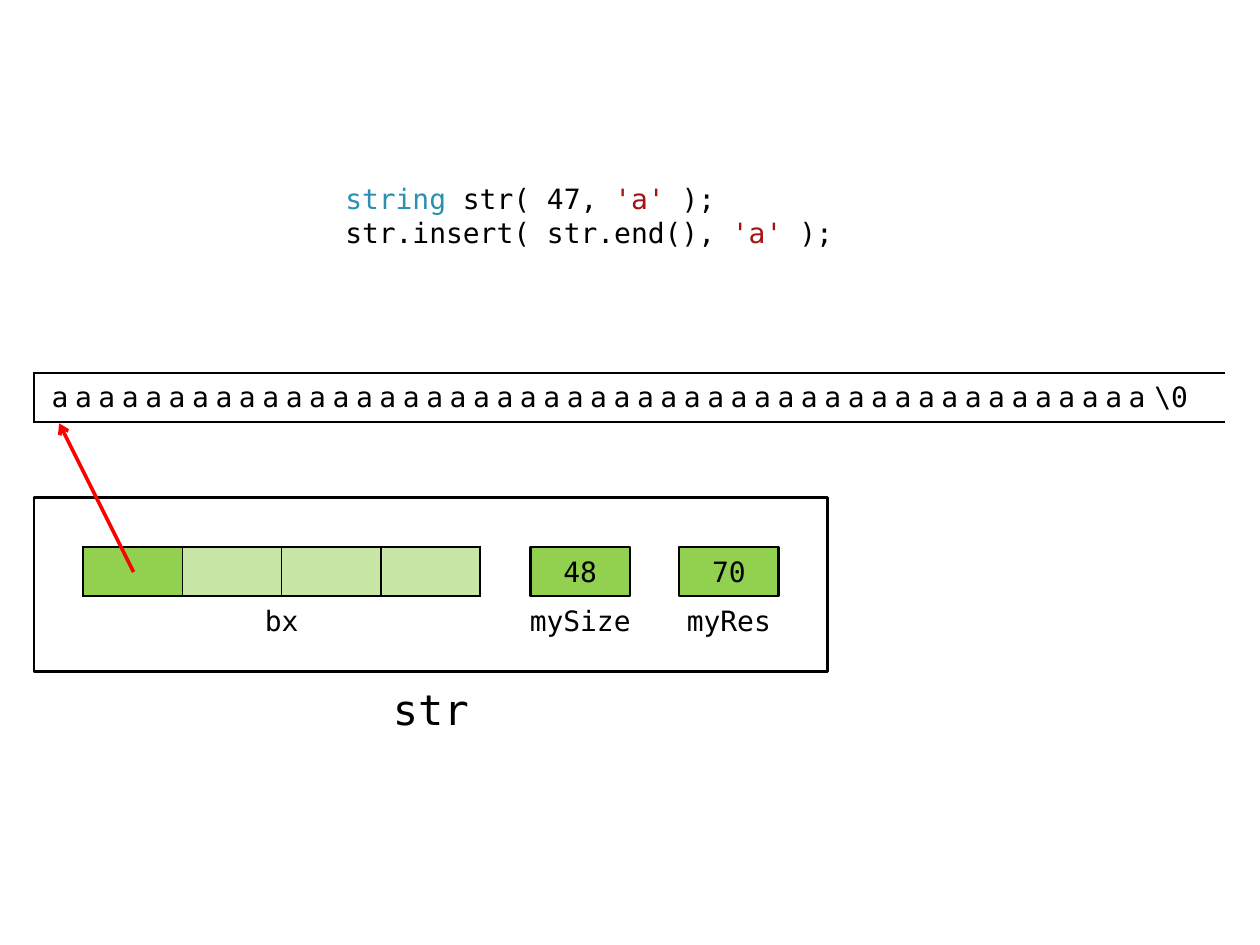
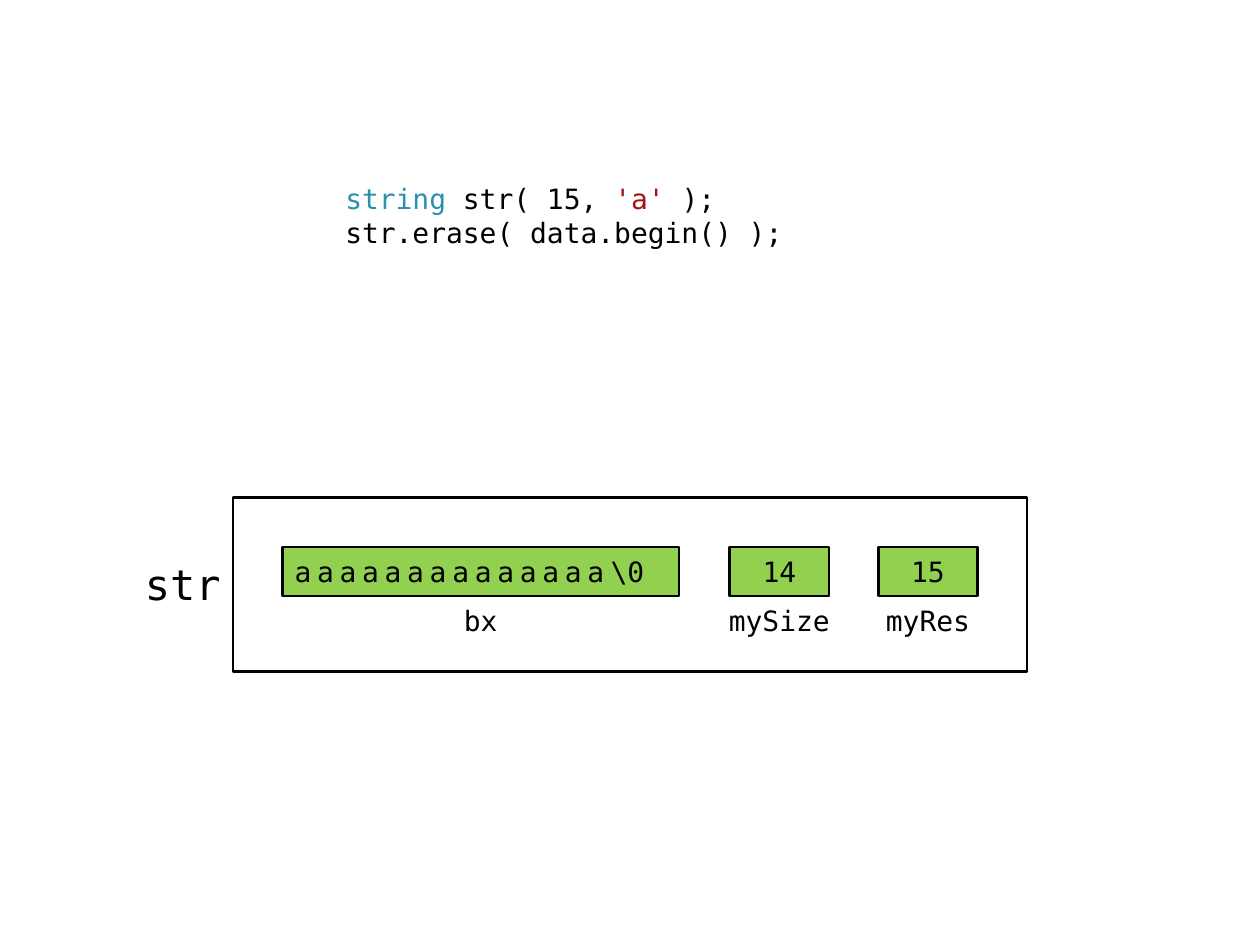
from dataclasses import dataclass

import pptx
import pptx.dml.color
import pptx.enum.shapes
import pptx.enum.text
import pptx.oxml
import pptx.oxml.ns
import pptx.util
from pptx.util import Inches, Pt

FONT = "DejaVu Sans Mono"
BLACK, WHITE, GREEN, RED = "000000", "FFFFFF", "92D050", "FF0000"
TYPE_COLOR, LITERAL_COLOR = "2B91AF", "A31515"
CELL_W, CELL_H = 0.79, 0.39
BX_W = 3.15
FRAME_TOP, FRAME_W, FRAME_H = 3.95, 6.3, 1.38
CELL_TOP = FRAME_TOP + CELL_H
LABEL_TOP = CELL_TOP + CELL_H
HEAP_LEFT, HEAP_TOP, HEAP_W = 0.27, 2.96, 9.45

SHAPE = pptx.enum.shapes.MSO_SHAPE
ALIGN = pptx.enum.text.PP_ALIGN
MIDDLE = pptx.enum.text.MSO_ANCHOR.MIDDLE


@dataclass(frozen=True)
class Span:
    text: str
    color: str = BLACK
    spacing: float = 0


@dataclass(frozen=True)
class Box:
    left: float
    top: float
    width: float
    height: float

    def lengths(self) -> list[int]:
        return [Inches(v) for v in (self.left, self.top, self.width, self.height)]


@dataclass(frozen=True)
class Member:
    """A field of the string object, placed relative to the frame."""
    name: str
    offset: float
    width: float
    label_width: float


BX = Member("bx", 0.39, BX_W, 0.79)
MY_SIZE = Member("mySize", 3.94, CELL_W, 1.18)
MY_RES = Member("myRes", 5.12, CELL_W, 1.18)


def rgb(color: str) -> pptx.dml.color.RGBColor:
    return pptx.dml.color.RGBColor.from_string(color)


def char_spans(count: int, spacing: float) -> list[Span]:
    """Spread-out characters followed by the terminating null."""
    return [Span("a" * count, spacing=spacing), Span("\\", spacing=-1.5), Span("0")]


def write(p, spans: list[Span], size: float = 16, align=ALIGN.LEFT) -> None:
    p.alignment = align
    for span in spans:
        r = p.add_run()
        r.text = span.text
        r.font.name, r.font.size = FONT, Pt(size)
        r.font.color.rgb = rgb(span.color)
        if span.spacing:
            r.font._element.set("spc", str(round(span.spacing * 100)))


def add_box(s, box: Box, spans: list[Span] = (), kind=SHAPE.RECTANGLE,
            fill: str | None = None, align=ALIGN.CENTER) -> None:
    """Outlined box when a fill is given, otherwise a bare label."""
    sp = s.shapes.add_shape(kind, *box.lengths())
    sp.shadow.inherit = False
    if fill:
        sp.fill.solid()
        sp.fill.fore_color.rgb = rgb(fill)
        sp.line.color.rgb = rgb(BLACK)
        sp.line.width = Pt(1.5)
    else:
        sp.fill.background()
        sp.line.fill.background()
    sp.text_frame.vertical_anchor = MIDDLE
    write(sp.text_frame.paragraphs[0], spans, align=align)


def add_name(s, box: Box, align) -> None:
    tf = s.shapes.add_textbox(*box.lengths()).text_frame
    tf.word_wrap = True
    tf.vertical_anchor = MIDDLE
    write(tf.paragraphs[0], [Span("str")], 24, align)


def add_code(s, lines: list[list[Span]]) -> None:
    body = s.placeholders[1]
    body.left, body.top, body.width, body.height = Box(2.64, 1.39, 4.73, 0.79).lengths()
    tf = body.text_frame
    tf.auto_size = pptx.enum.text.MSO_AUTO_SIZE.NONE
    for i, spans in enumerate(lines):
        p = tf.add_paragraph() if i else tf.paragraphs[0]
        p.space_before = Pt(0)
        write(p, spans)
        p_pr = p._p.get_or_add_pPr()
        p_pr.set("marL", "0")
        p_pr.set("indent", "0")
        p_pr.append(pptx.oxml.parse_xml(f'<a:buNone {pptx.oxml.ns.nsdecls("a")}/>'))


def set_borders(cell, **widths: float) -> None:
    """Set the L, R, T and B borders in points; zero hides a border."""
    for i, side in enumerate("LRTB"):
        width = widths[side]
        paint = (f'<a:solidFill><a:srgbClr val="{BLACK}"/></a:solidFill>'
                 if width else "<a:noFill/>")
        line = pptx.oxml.parse_xml(
            f'<a:ln{side} {pptx.oxml.ns.nsdecls("a")} w="{Pt(width)}">{paint}</a:ln{side}>')
        cell._tc.get_or_add_tcPr().insert(i, line)


def add_row(s, box: Box, columns: int) -> list:
    table = s.shapes.add_table(1, columns, *box.lengths()).table
    table.first_row = table.horz_banding = False
    cells = list(table.rows[0].cells)
    for cell in cells:
        cell.margin_left = cell.margin_right = cell.margin_top = cell.margin_bottom = 0
        cell.vertical_anchor = MIDDLE
    return cells


def add_pointer_row(s, left: float) -> None:
    """The bx field split in four, with only the first part in use."""
    cells = add_row(s, Box(left, CELL_TOP, BX_W, CELL_H), 4)
    for i, cell in enumerate(cells):
        cell.fill.solid()
        cell.fill.fore_color.rgb = rgb(GREEN)
        if i:
            color = cell._tc.tcPr.find(".//" + pptx.oxml.ns.qn("a:srgbClr"))
            color.append(pptx.oxml.parse_xml(
                f'<a:alpha {pptx.oxml.ns.nsdecls("a")} val="50000"/>'))
        set_borders(cell, L=1 if i else 1.5, R=1 if i < 3 else 1.5, T=1.5, B=1.5)


def add_heap(s, spans: list[Span]) -> None:
    """Heap buffer, open on the right."""
    cell, = add_row(s, Box(HEAP_LEFT, HEAP_TOP, HEAP_W, CELL_H), 1)
    cell.fill.background()
    cell.margin_left = Inches(0.14)
    write(cell.text_frame.paragraphs[0], spans)
    set_borders(cell, L=1.5, R=0, T=1.5, B=1.5)


def add_arrow(s, x1: float, y1: float, x2: float, y2: float) -> None:
    line = s.shapes.add_connector(pptx.enum.shapes.MSO_CONNECTOR.STRAIGHT,
                                  *[Inches(v) for v in (x1, y1, x2, y2)])
    line.line.color.rgb = rgb(RED)
    line.line.width = Pt(2)
    ns = pptx.oxml.ns.nsdecls("a")
    line.line._get_or_add_ln().append(pptx.oxml.parse_xml(f'<a:tailEnd {ns} type="arrow"/>'))
    line._element.spPr.append(pptx.oxml.parse_xml(f"<a:effectLst {ns}/>"))


def add_string_object(s, left: float, size: int, reserve: int) -> None:
    """Frame, field labels and the two numeric fields."""
    add_box(s, Box(left, FRAME_TOP, FRAME_W, FRAME_H),
            kind=SHAPE.FLOWCHART_PROCESS, fill=WHITE)
    for member, value in ((BX, None), (MY_SIZE, size), (MY_RES, reserve)):
        x = left + member.offset
        label_left = x + (member.width - member.label_width) / 2
        add_box(s, Box(label_left, LABEL_TOP, member.label_width, CELL_H),
                [Span(member.name)], SHAPE.FLOWCHART_PROCESS)
        if value is not None:
            add_box(s, Box(x, CELL_TOP, member.width, CELL_H), [Span(str(value))], fill=GREEN)


def add_code_slide(prs, count: int, call: list[Span]):
    s = prs.slides.add_slide(prs.slide_layouts[1])
    title = s.shapes.title._element
    title.getparent().remove(title)
    declaration = [Span("string ", TYPE_COLOR), Span(f"str( {count}, "),
                   Span("'a' ", LITERAL_COLOR), Span(");")]
    add_code(s, [declaration, call])
    return s


def add_insert_slide(prs) -> None:
    s = add_code_slide(prs, 47, [Span("str.insert( str.end(), "),
                                 Span("'a' ", LITERAL_COLOR), Span(");")])
    add_name(s, Box(2.83, 5.33, 1.18, 0.59), ALIGN.CENTER)
    add_string_object(s, HEAP_LEFT, 48, 70)
    add_pointer_row(s, HEAP_LEFT + BX.offset)
    add_arrow(s, 1.06, 4.54, 0.47, 3.36)
    add_heap(s, char_spans(47, 3.8))


def add_erase_slide(prs) -> None:
    left = 1.85
    s = add_code_slide(prs, 15, [Span("str.erase( data.begin() );")])
    add_name(s, Box(0.87, 4.34, 0.98, 0.59), ALIGN.RIGHT)
    add_string_object(s, left, 14, 15)
    add_box(s, Box(left + BX.offset, CELL_TOP, BX_W, CELL_H),
            char_spans(14, 3.3), fill=GREEN, align=ALIGN.LEFT)


def main() -> None:
    prs = pptx.Presentation()
    prs.slide_width, prs.slide_height = Inches(10), Inches(7.5)
    add_insert_slide(prs)
    add_erase_slide(prs)
    prs.save("out.pptx")


if __name__ == "__main__":
    main()
